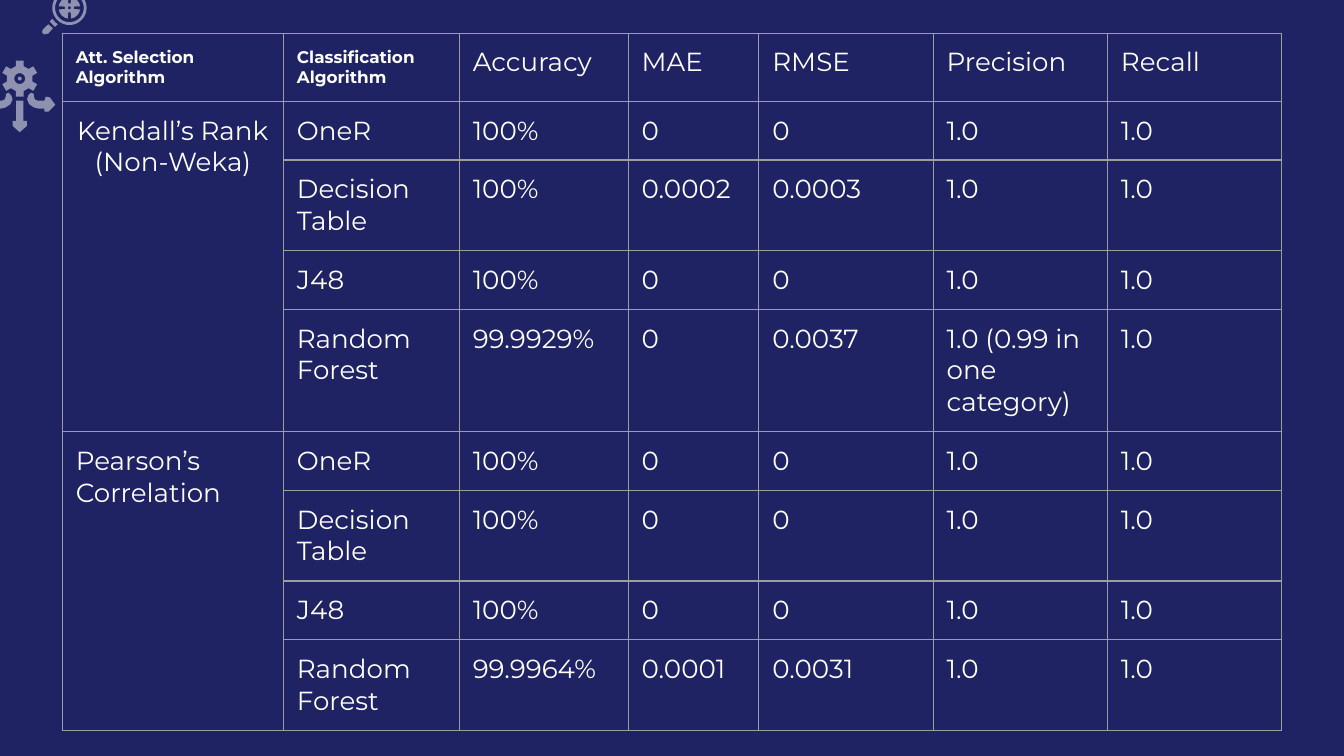
from math import cos, radians, sin

from lxml import etree
from pptx import Presentation
from pptx.dml.color import RGBColor
from pptx.enum.text import PP_ALIGN
from pptx.oxml.ns import qn
from pptx.util import Pt

CENTER = PP_ALIGN.CENTER
FONT = "Montserrat"
NAVY, WHITE, GRID = "1F2363", "FFFFFF", "9E9E9E"


def polar(center, radius, degrees):
    """Point at a clockwise angle from the top of a center."""
    angle = radians(degrees)
    return center[0] + radius * sin(angle), center[1] - radius * cos(angle)


def add_outline(shapes, *contours):
    """Half-transparent white outline; contours are in points, inner ones are holes."""
    builder = None
    for contour in contours:
        points = [(x * 100, y * 100) for x, y in contour]
        if builder is None:
            builder = shapes.build_freeform(*points[0], scale=Pt(1) / 100)
        else:
            builder.move_to(*points[0])
        builder.add_line_segments(points[1:], close=True)
    shape = builder.convert_to_shape()
    shape.shadow.inherit = False
    shape.line.fill.background()
    shape.fill.solid()
    shape.fill.fore_color.rgb = RGBColor.from_string(WHITE)
    color = shape.fill._xPr.find(qn("a:solidFill"))[0]
    etree.SubElement(color, qn("a:alpha"), val="50000")


prs = Presentation()
prs.slide_width, prs.slide_height = Pt(720), Pt(405)
slide = prs.slides.add_slide(prs.slide_layouts[6])
slide.background.fill.solid()
slide.background.fill.fore_color.rgb = RGBColor.from_string(NAVY)
turn = range(0, 360, 10)

# Gear with three arrows
hub = (10.6, 42.1)
teeth = [polar(hub, radius, tooth + offset)
         for tooth in range(0, 360, 60)
         for radius, offset in ((7, -17), (9.8, -12), (9.8, 12), (7, 17))]
add_outline(slide.shapes, teeth, [polar(hub, 2.9, a) for a in turn])
add_outline(slide.shapes, [polar(hub, 1, a) for a in turn])

down_arrow = [(-1.9, 54), (1.9, 54), (1.9, 64.8), (3.8, 64.8), (3.8, 67.5),
              (0, 70.9), (-3.8, 67.5), (-3.8, 64.8), (-1.9, 64.8)]
add_outline(slide.shapes, [(hub[0] + x, y) for x, y in down_arrow])
side_arrow = [(19, 56.2), (16.1, 52.2), (13.9, 51.8), (13.2, 54), (9.6, 54),
              (8.2, 53.4), (7.5, 51.8), (7.5, 50.4), (6, 49.7), (4.6, 51.1),
              (3.9, 53.3), (5, 55.8), (7.5, 57.6), (10.3, 58.3), (13.2, 58.3),
              (13.2, 59.8), (15.4, 59.8)]
for side in (-1, 1):
    add_outline(slide.shapes, [(hub[0] + side * x, y) for x, y in side_arrow])

# Magnifier with a crosshair
lens = (37.2, 4.2)
add_outline(slide.shapes, *[[polar(lens, r, a) for a in turn] for r in (9.2, 7.7)])
crosshair = [polar(lens, radius, quarter + offset)
             for quarter in range(0, 360, 90)
             for radius, offset in ((2.5, 16), (5.8, 8), (5.8, 26), (5.8, 45),
                                    (5.8, 64), (5.8, 82), (2.5, 74))]
add_outline(slide.shapes, crosshair, [polar(lens, 0.8, a) for a in turn])
add_outline(slide.shapes, [(25.9, 13), (23, 15.8), (22.5, 17.2), (23.5, 18.4),
                           (25.9, 18), (28.4, 15.1)])
add_outline(slide.shapes, [(28.1, 10.1), (26.6, 11.5), (29.5, 14.4), (31, 13),
                           (29.5, 11.9)])

# Results table
results = [
    ("Att. Selection Algorithm", "Classification Algorithm", "Accuracy", "MAE",
     "RMSE", "Precision", "Recall"),
    ("Kendall’s Rank (Non-Weka)", "OneR", "100%", "0", "0", "1.0", "1.0"),
    ("", "Decision Table", "100%", "0.0002", "0.0003", "1.0", "1.0"),
    ("", "J48", "100%", "0", "0", "1.0", "1.0"),
    ("", "Random Forest", "99.9929%", "0", "0.0037", "1.0 (0.99 in one category)",
     "1.0"),
    ("Pearson’s Correlation", "OneR", "100%", "0", "0", "1.0", "1.0"),
    ("", "Decision Table", "100%", "0", "0", "1.0", "1.0"),
    ("", "J48", "100%", "0", "0", "1.0", "1.0"),
    ("", "Random Forest", "99.9964%", "0.0001", "0.0031", "1.0", "1.0"),
]
column_widths = [118.5, 94.2, 90.5, 70, 93.4, 93.4, 93.4]
row_height = 30.2
table = slide.shapes.add_table(
    len(results), len(column_widths), Pt(33.4), Pt(17.8),
    Pt(sum(column_widths)), Pt(row_height * len(results))).table
table.first_row = table.horz_banding = False
for column, width in zip(table.columns, column_widths):
    column.width = Pt(width)
for row in table.rows:
    row.height = Pt(row_height)

for r, values in enumerate(results):
    for c, value in enumerate(values):
        cell = table.cell(r, c)
        cell.margin_left = cell.margin_right = Pt(7.2)
        cell.margin_top = cell.margin_bottom = Pt(7.2)
        properties = cell._tc.get_or_add_tcPr()
        for edge in ("a:lnL", "a:lnR", "a:lnT", "a:lnB"):
            border = etree.SubElement(properties, qn(edge), w=str(Pt(0.75)))
            line_fill = etree.SubElement(border, qn("a:solidFill"))
            etree.SubElement(line_fill, qn("a:srgbClr"), val=GRID)
        cell.fill.background()
        if not value:
            continue
        run = cell.text_frame.paragraphs[0].add_run()
        run.text = value
        small_header = r == 0 and c < 2
        run.font.name = FONT
        run.font.size = Pt(9 if small_header else 14)
        run.font.bold = small_header
        run.font.color.rgb = RGBColor.from_string(WHITE)

for first in (1, 5):
    table.cell(first, 0).merge(table.cell(first + 3, 0))
table.cell(1, 0).text_frame.paragraphs[0].alignment = CENTER

prs.save("out.pptx")
